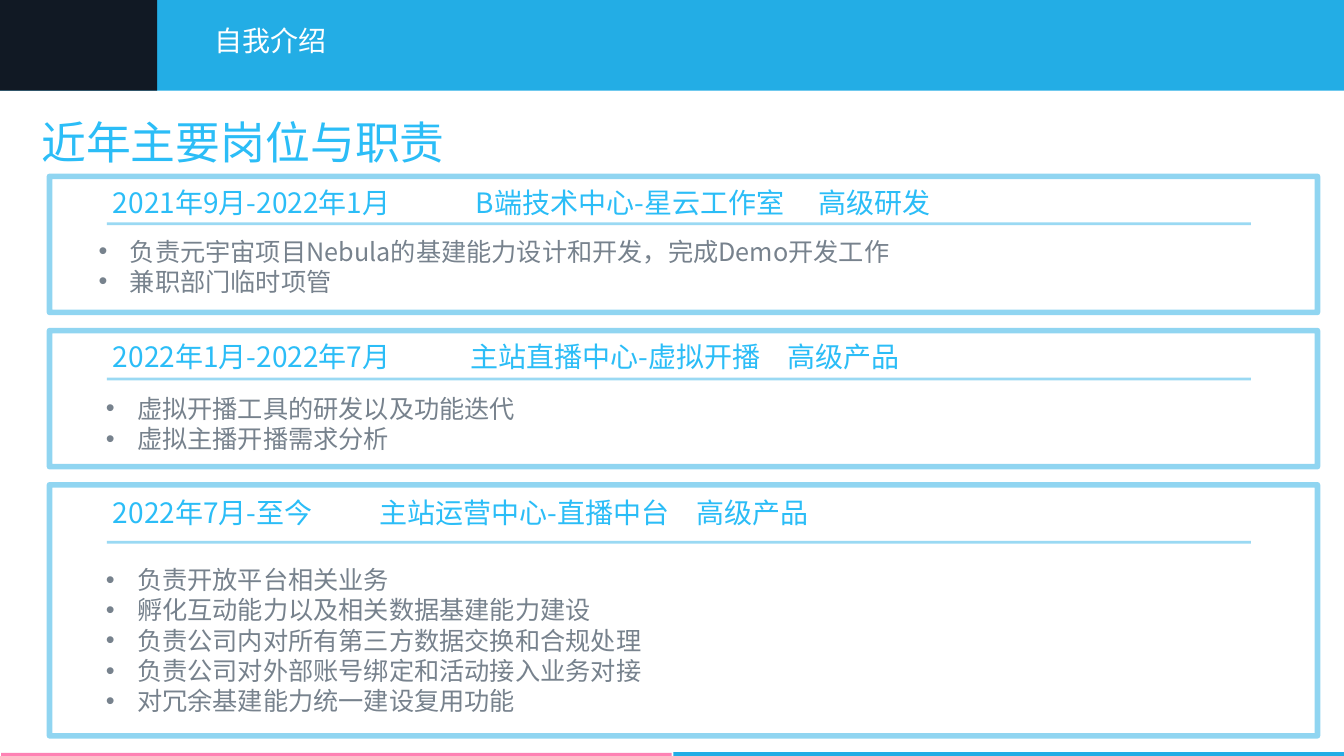
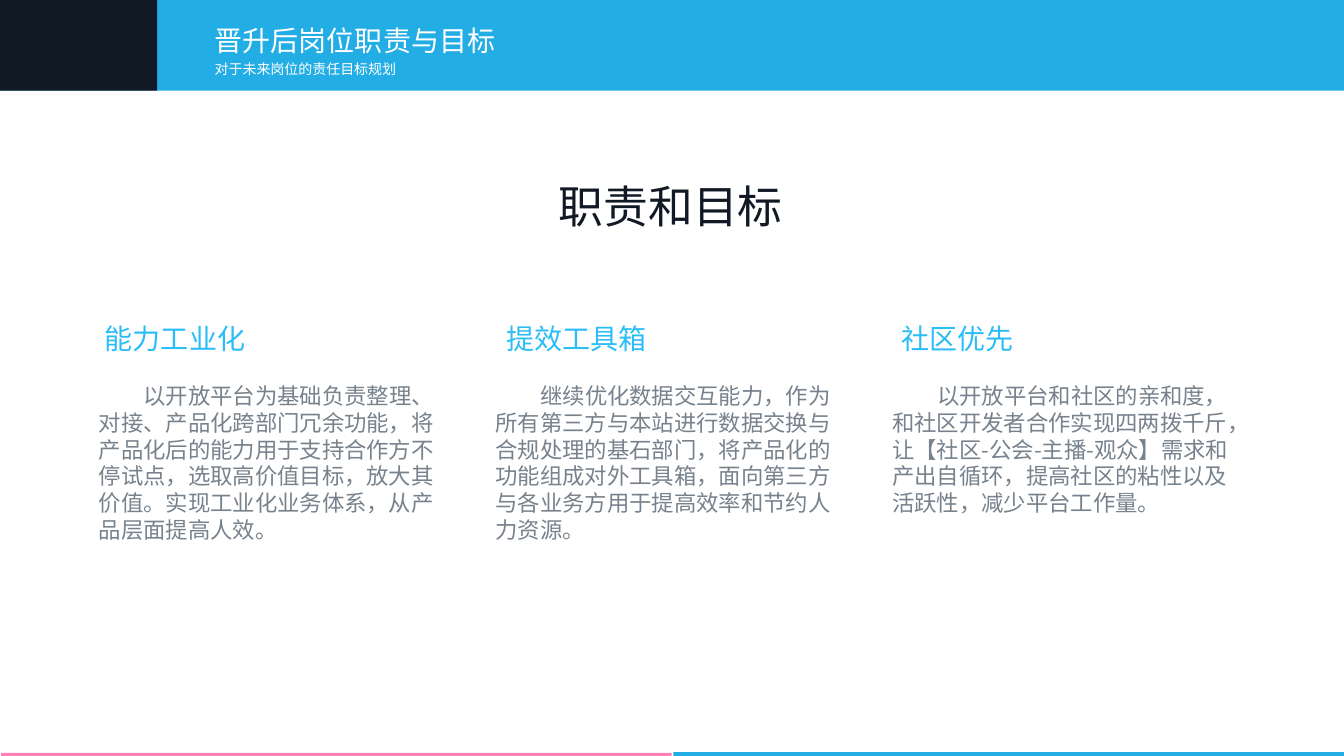
"""Build two slides on recent posts, duties and goals."""
from lxml import etree
from pptx import Presentation
from pptx.dml.color import RGBColor
from pptx.enum.shapes import MSO_CONNECTOR, MSO_SHAPE
from pptx.enum.text import MSO_ANCHOR, PP_ALIGN
from pptx.oxml.ns import qn
from pptx.util import Inches, Pt

RECT = MSO_SHAPE.RECTANGLE
STRAIGHT = MSO_CONNECTOR.STRAIGHT
TOP, MIDDLE = MSO_ANCHOR.TOP, MSO_ANCHOR.MIDDLE
LEFT, CENTER = PP_ALIGN.LEFT, PP_ALIGN.CENTER

FONT = "Noto Sans CJK SC"
BLUE, SKY, NAVY = "23ADE5", "2BBDF7", "111924"
PINK, GREY, WHITE = "FE82B4", "77828D", "FFFFFF"

prs = Presentation()
prs.slide_width, prs.slide_height = Inches(13.33), Inches(7.5)
COL, ROW = prs.slide_width / 100, prs.slide_height / 100


def paint(fill, color):
    """Give a fill, a line's fill or a font's fill one solid colour."""
    fill.solid()
    fill.fore_color.rgb = RGBColor.from_string(color)


def write(s, box, lines, size, color, inset=0.03, anchor=TOP, align=LEFT,
          wrap=True, bullet=False, tabs=(), indent=0):
    """Add a text box, placed in percent of the slide, with one paragraph a line."""
    x, y, w, h = box
    sp = s.shapes.add_textbox(int(x * COL), int(y * ROW), int(w * COL), int(h * ROW))
    tf = sp.text_frame
    tf.word_wrap, tf.vertical_anchor = wrap, anchor
    tf.margin_left = tf.margin_right = tf.margin_top = tf.margin_bottom = Inches(inset)
    for i, line in enumerate(lines):
        p = tf.paragraphs[0] if i == 0 else tf.add_paragraph()
        p.alignment = align
        pPr = p._p.get_or_add_pPr()
        if bullet:
            pPr.set("marL", str(Inches(0.31)))
            pPr.set("indent", str(-Inches(0.31)))
            etree.SubElement(pPr, qn("a:buFont"), typeface="Arial")
            etree.SubElement(pPr, qn("a:buChar"), char="•")
        elif indent:
            pPr.set("indent", str(Pt(indent)))
        if tabs:
            tab_list = etree.SubElement(pPr, qn("a:tabLst"))
            for pos in tabs:
                etree.SubElement(tab_list, qn("a:tab"), pos=str(int(pos * COL)), algn="l")
        r = p.add_run()
        r.text = line
        r.font.size, r.font.name = Pt(size), FONT
        paint(r.font.fill, color)
        etree.SubElement(r._r.get_or_add_rPr(), qn("a:ea"), typeface=FONT)


bands = [
    (0, 0, 100, 12, BLUE),
    (0, 0, 11.7, 12, NAVY),
    (0.08, 99.6, 49.9, 0.4, PINK),
    (50.1, 99.5, 49.9, 0.5, BLUE),
]
titles = [("自我介绍", 8.85), ("晋升后岗位职责与目标", 21.45)]
slides = []
for title, width in titles:
    s = prs.slides.add_slide(prs.slide_layouts[6])
    for x, y, w, h, color in bands:
        sp = s.shapes.add_shape(RECT, int(x * COL), int(y * ROW), int(w * COL), int(h * ROW))
        sp.shadow.inherit = False
        paint(sp.fill, color)
        sp.line.fill.background()
    write(s, (15.75, 2.67, width, 5.2), [title], 20, WHITE, wrap=False)
    slides.append(s)
posts, goals = slides

write(posts, (2.63, 14.4, 50.33, 8.67), ["近年主要岗位与职责"], 32, SKY, 0.06, MIDDLE)

jobs = [
    ("2021年9月-2022年1月\tB端技术中心-星云工作室\t高级研发", (27, 52.5),
     18, 0.4, 6.27, 6.9, 7.07,
     ["负责元宇宙项目Nebula的基建能力设计和开发，完成Demo开发工作", "兼职部门临时项管"]),
    ("2022年1月-2022年7月\t主站直播中心-虚拟开播\t高级产品", (26.6, 50.2),
     18, 0.4, 6.4, 7.43, 7.47,
     ["虚拟开播工具的研发以及功能迭代", "虚拟主播开播需求分析"]),
    ("2022年7月-至今\t主站运营中心-直播中台\t高级产品", (19.8, 43.4),
     33.2, 0.67, 7.6, 7.43, 9.74,
     ["负责开放平台相关业务", "孵化互动能力以及相关数据基建能力建设",
      "负责公司内对所有第三方数据交换和合规处理",
      "负责公司对外部账号绑定和活动接入业务对接", "对冗余基建能力统一建设复用功能"]),
]
for i, (head, tabs, height, head_dy, rule_dy, duty_x, duty_dy, duties) in enumerate(jobs):
    top = 23.33 + 20.4 * i
    write(posts, (7.95, top + head_dy, 88.95, 6), [head], 20, SKY, 0.06, MIDDLE, tabs=tabs)
    panel = posts.shapes.add_shape(RECT, int(3.68 * COL), int(top * ROW),
                                   int(94.35 * COL), int(height * ROW))
    panel.shadow.inherit = False
    panel.fill.background()
    rule_y = int((top + rule_dy) * ROW)
    rule = posts.shapes.add_connector(STRAIGHT, int(7.95 * COL), rule_y,
                                      int(93.08 * COL), rule_y)
    etree.SubElement(rule._element.spPr, qn("a:effectLst"))
    for sp, weight, opacity in [(panel, 4, 50), (rule, 2, 45)]:
        paint(sp.line.fill, BLUE)
        sp.line.width = Pt(weight)
        clr = sp._element.spPr.find(".//" + qn("a:srgbClr"))
        etree.SubElement(clr, qn("a:alpha"), val=str(opacity * 1000))
    write(posts, (duty_x, top + duty_dy, 90, 4.8 * len(duties)), duties, 18, GREY, 0.06,
          bullet=True)

write(goals, (15.75, 7.6, 14.1, 2.93), ["对于未来岗位的责任目标规划"], 10, WHITE, wrap=False)
write(goals, (27.15, 23.2, 45.53, 7.87), ["职责和目标"], 32, NAVY, anchor=MIDDLE, align=CENTER)

aims = [
    ("能力工业化", 7.58,
     "以开放平台为基础负责整理、对接、产品化跨部门冗余功能，将产品化后的能力用于支持合作方"
     "不停试点，选取高价值目标，放大其价值。实现工业化业务体系，从产品层面提高人效。"),
    ("提效工具箱", 37.43,
     "继续优化数据交互能力，作为所有第三方与本站进行数据交换与合规处理的基石部门，将产品化的"
     "功能组成对外工具箱，面向第三方与各业务方用于提高效率和节约人力资源。"),
    ("社区优先", 66.83,
     "以开放平台和社区的亲和度，和社区开发者合作实现四两拨千斤，让【社区-公会-主播-观众】需求"
     "和产出自循环，提高社区的粘性以及活跃性，减少平台工作量。"),
]
for i, (head, head_x, body) in enumerate(aims):
    write(goals, (head_x, 42.13, 25.13, 5.2), [head], 20, SKY, anchor=MIDDLE)
    write(goals, (7.13 + 29.52 * i, 50.13, 26.7, 22.27), [body], 16, GREY, indent=32)

prs.save("out.pptx")
